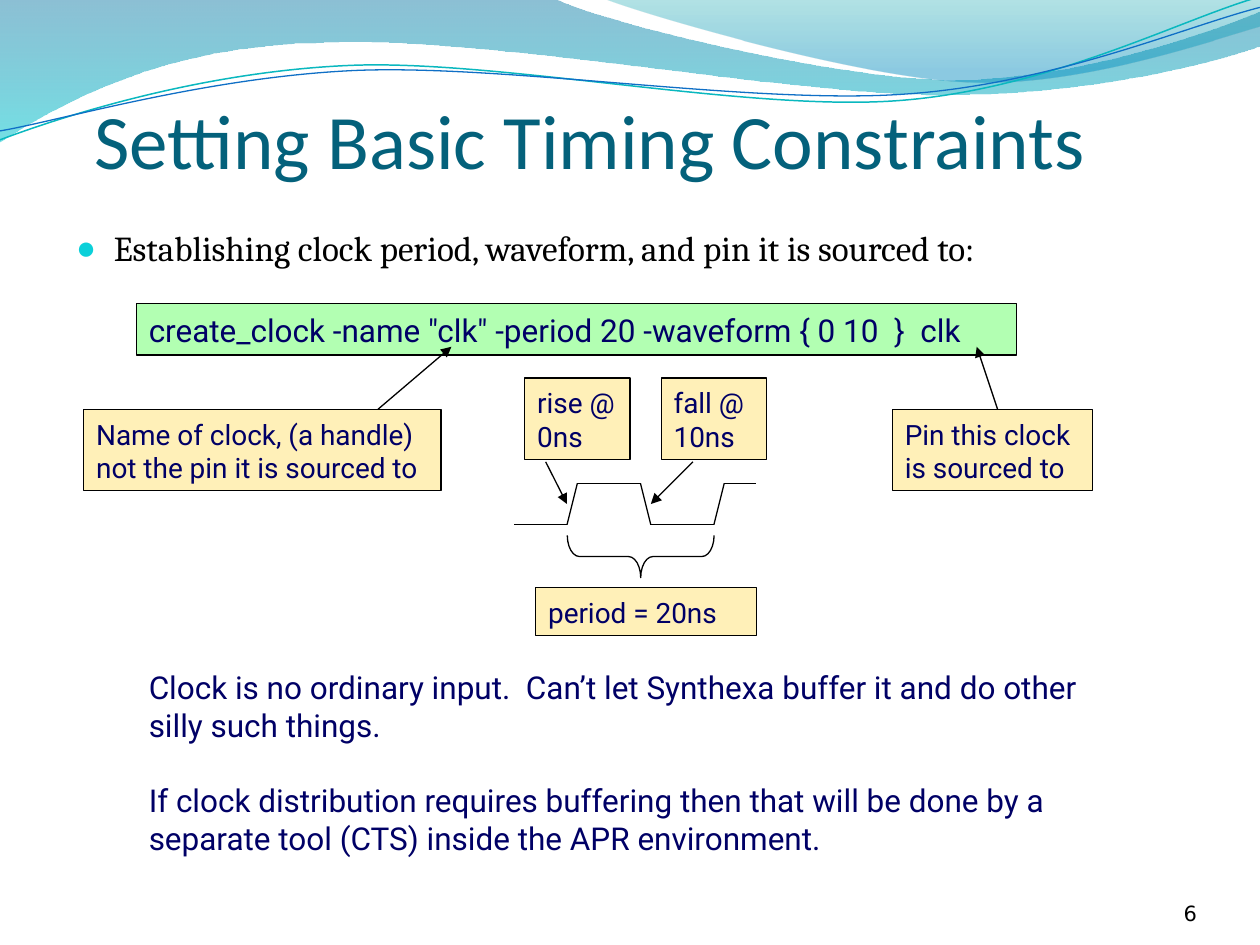
from dataclasses import dataclass
from itertools import chain, pairwise

from lxml.etree import SubElement
from pptx import Presentation
from pptx.dml.color import RGBColor
from pptx.enum.shapes import MSO_CONNECTOR, MSO_SHAPE
from pptx.enum.text import MSO_ANCHOR, MSO_AUTO_SIZE, PP_ALIGN
from pptx.oxml.ns import qn
from pptx.util import Cm, Pt


@dataclass(frozen=True)
class Theme:
    title: str = "04617B"
    ink: str = "000000"
    label: str = "000066"
    bullet: str = "0BD0D9"
    command_fill: str = "00FF00"
    note_fill: str = "FFCC00"
    wave_wide: tuple = ((0, "0074A1", 45), (1, "00C6CF", 55))
    wave_right: tuple = ((0, "00A1A9", 30), (0.8, "008BBF", 45))
    ribbon_teal: str = "0AB8BF"
    ribbon_blue: str = "0F6FC6"
    title_font: str = "Calibri"
    body_font: str = "Cambria"
    label_font: str = "Roboto"
    number_font: str = "DejaVu Sans"
    title_size: int = 44
    body_size: int = 20
    command_size: int = 18
    note_size: int = 16
    number_size: int = 12
    thin: float = 0.75


theme = Theme()


def format_text(frame, font, size, color, align=PP_ALIGN.LEFT):
    frame.word_wrap = True
    frame.auto_size = MSO_AUTO_SIZE.NONE
    frame.vertical_anchor = MSO_ANCHOR.BOTTOM
    for paragraph in frame.paragraphs:
        paragraph.alignment = align
        for run in paragraph.runs:
            run.font.name = font
            run.font.size = Pt(size)
            run.font.color.rgb = RGBColor.from_string(color)


def draw_line(start, end, arrow=False):
    connector = slide.shapes.add_connector(
        MSO_CONNECTOR.STRAIGHT, *(Cm(v) for v in (*start, *end)))
    connector.line.color.rgb = RGBColor.from_string(theme.ink)
    connector.line.width = Pt(theme.thin)
    properties = connector._element.spPr
    if arrow:
        SubElement(properties.find(qn("a:ln")), qn("a:tailEnd"), type="triangle")
    SubElement(properties, qn("a:effectLst"))


presentation = Presentation()
presentation.slide_width = Cm(25.4)
presentation.slide_height = Cm(19.05)
slide = presentation.slides.add_slide(presentation.slide_layouts[1])
title, bullets = slide.placeholders

wide_curve = [
    [(0, -0.03)], [(11.18, -0.03)],
    [(12.09, 0.43), (16.87, 1.6), (19.25, 1.6)],
    [(21.67, 1.6), (24.33, 0.66), (25.4, 0.23)],
    [(25.43, 0.91)],
    [(24.97, 1.12), (22.1, 1.93), (18.95, 1.91)],
    [(15.8, 1.91), (9.7, 0.71), (6.53, 0.86)],
    [(3.28, 0.89), (1.17, 2.11), (-0.03, 2.87)],
]
right_curve = [
    [(12.17, -0.03)],
    [(12.93, 0.28), (17.32, 1.57), (19.53, 1.65)],
    [(21.74, 1.75), (24.41, 0.81), (25.4, 0.53)],
    [(25.4, 0)],
]
teal_curve = [
    [(0, 2.82)],
    [(1.22, 2.36), (4.01, 1.45), (7.04, 1.32)],
    [(10.03, 1.19), (15.06, 2.26), (18.11, 2.03)],
    [(21.16, 1.8), (23.83, 0.38), (25.35, -0.05)],
]
blue_curve = [
    [(0, 2.64)],
    [(1.19, 2.44), (4.17, 1.55), (7.19, 1.42)],
    [(10.24, 1.3), (15.16, 2.11), (18.21, 1.9)],
    [(21.23, 1.7), (23.9, 0.53), (25.4, 0.15)],
]
for curve, gradient, ribbon, width in (
    (wide_curve, theme.wave_wide, None, 0),
    (right_curve, theme.wave_right, None, 0),
    (teal_curve, None, theme.ribbon_teal, 0.85),
    (blue_curve, None, theme.ribbon_blue, theme.thin),
):
    outline = [(Cm(x), Cm(y)) for x, y in chain(*curve)]
    builder = slide.shapes.build_freeform(*outline[0])
    builder.add_line_segments(outline[1:], close=gradient is not None)
    wave = builder.convert_to_shape()
    wave.shadow.inherit = False
    edges = iter(list(wave._element.iter(qn("a:lnTo"))))
    for segment in curve[1:]:
        bend, *others = [next(edges) for _ in segment]
        if others:
            bend.tag = qn("a:cubicBezTo")
        for edge in others:
            bend.append(edge[0])
            edge.getparent().remove(edge)
    if gradient:
        wave.fill.gradient()
        wave.fill.gradient_angle = 270
        for stop, (position, color, opacity) in zip(wave.fill.gradient_stops, gradient):
            stop.position = position
            stop.color.rgb = RGBColor.from_string(color)
        for tint, (_, _, opacity) in zip(wave._element.spPr.iter(qn("a:srgbClr")), gradient):
            SubElement(tint, qn("a:alpha"), val=str(opacity * 1000))
        wave.line.fill.background()
    else:
        wave.fill.background()
        wave.line.color.rgb = RGBColor.from_string(ribbon)
        wave.line.width = Pt(width)

for placeholder, place in ((title, (1.9, 0.54, 22.86, 3.18)), (bullets, (1.28, 4.44, 22.86, 1.47))):
    slide.shapes._spTree.append(placeholder._element)
    placeholder.left, placeholder.top, placeholder.width, placeholder.height = map(Cm, place)

title.text_frame.text = "Setting Basic Timing Constraints"
format_text(title.text_frame, theme.title_font, theme.title_size, theme.title)
title.text_frame.margin_left = title.text_frame.margin_right = title.text_frame.margin_bottom = 0

bullets.text_frame.text = "Establishing clock period, waveform, and pin it is sourced to:"
format_text(bullets.text_frame, theme.body_font, theme.body_size, theme.ink)
bullets.text_frame.vertical_anchor = MSO_ANCHOR.TOP
establishing = bullets.text_frame.paragraphs[0]
establishing.space_before = Pt(4)
marker = establishing._p.get_or_add_pPr()
marker.set("marL", str(Cm(0.76)))
marker.set("indent", str(-Cm(0.76)))
SubElement(SubElement(marker, qn("a:buClr")), qn("a:srgbClr"), val=theme.bullet)
SubElement(marker, qn("a:buSzPct"), val="95000")
SubElement(marker, qn("a:buChar"), char="●")

note = (theme.note_fill, 28, theme.note_size)
for text, place, (color, opacity, size) in (
    ('create_clock -name "clk" -period 20 -waveform { 0 10  }  clk',
     (2.75, 6.12, 17.75, 1.04), (theme.command_fill, 30, theme.command_size)),
    ("Name of clock, (a handle) not the pin it is sourced to", (1.69, 8.25, 7.2, 1.64), note),
    ("Pin this clock is sourced to", (17.99, 8.25, 4.03, 1.64), note),
    ("rise @ 0ns", (10.58, 7.62, 2.12, 1.64), note),
    ("fall @ 10ns", (13.33, 7.62, 2.12, 1.64), note),
    ("period = 20ns", (10.8, 11.85, 4.45, 0.96), note),
):
    box = slide.shapes.add_shape(MSO_SHAPE.RECTANGLE, *map(Cm, place))
    box.shadow.inherit = False
    box.fill.solid()
    box.fill.fore_color.rgb = RGBColor.from_string(color)
    tint = next(box._element.spPr.iter(qn("a:srgbClr")))
    SubElement(tint, qn("a:alpha"), val=str(opacity * 1000))
    box.line.color.rgb = RGBColor.from_string(theme.ink)
    box.line.width = Pt(theme.thin)
    box.text_frame.text = text
    format_text(box.text_frame, theme.label_font, size, theme.label)

for start, end in (
    ((7.62, 8.25), (9.1, 6.99)),
    ((20.11, 8.25), (19.69, 6.99)),
    ((11, 9.31), (11.43, 10.16)),
    ((13.97, 9.31), (13.12, 10.16)),
):
    draw_line(start, end, arrow=True)

high, low = 9.74, 10.58
signal = (
    (10.37, low), (11.43, low), (11.64, high), (12.91, high),
    (13.12, low), (14.39, low), (14.6, high), (15.24, high),
)
for start, end in pairwise(signal):
    draw_line(start, end)

period_brace = slide.shapes.add_shape(
    MSO_SHAPE.RIGHT_BRACE, Cm(12.49), Cm(9.74), Cm(0.85), Cm(2.96))
period_brace.rotation = 90
period_brace.adjustments[0] = 0.29
period_brace.shadow.inherit = False
period_brace.fill.background()
period_brace.line.color.rgb = RGBColor.from_string(theme.ink)
period_brace.line.width = Pt(theme.thin)

remarks = slide.shapes.add_textbox(Cm(2.75), Cm(13.34), Cm(19.74), Cm(4.06)).text_frame
remarks.text = ("Clock is no ordinary input.  Can’t let Synthexa buffer it and do other "
                "silly such things.")
distribution = remarks.add_paragraph()
distribution.text = ("If clock distribution requires buffering then that will be done by a "
                     "separate tool (CTS) inside the APR environment.")
distribution.space_before = Pt(21.6)
format_text(remarks, theme.label_font, theme.command_size, theme.label)

page = slide.shapes.add_textbox(Cm(22.02), Cm(17.65), Cm(2.11), Cm(1.02)).text_frame
page.text = "6"
format_text(page, theme.number_font, theme.number_size, theme.ink, PP_ALIGN.RIGHT)
page.margin_left = page.margin_right = page.margin_top = page.margin_bottom = 0

presentation.save("out.pptx")
